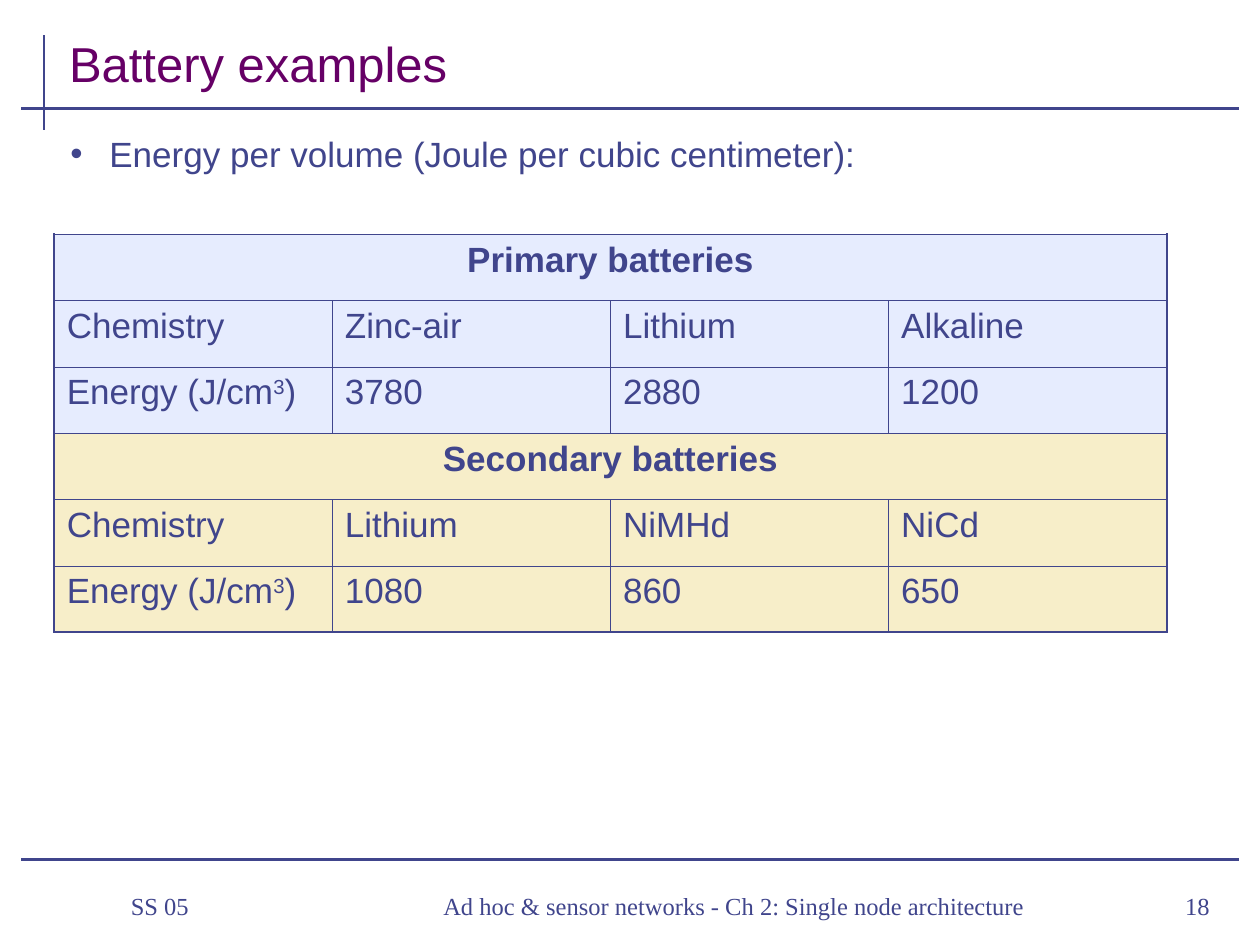
from lxml.etree import SubElement
from pptx import Presentation
from pptx.dml.color import RGBColor
from pptx.enum.shapes import MSO_CONNECTOR
from pptx.enum.text import MSO_ANCHOR as Anchor, PP_ALIGN as Align
from pptx.oxml.ns import qn
from pptx.util import Inches, Pt

INK = RGBColor(0x40, 0x45, 0x8C)
PURPLE = RGBColor(0x66, 0x00, 0x66)
PALE_BLUE = RGBColor(0xE6, 0xEC, 0xFE)
PALE_YELLOW = RGBColor(0xF7, 0xEE, 0xC9)

BODY = {"name": "Arial", "size": Pt(20)}
TITLE = {"name": "Arial", "size": Pt(28)}
FOOTER = {"name": "Times New Roman", "size": Pt(14)}

RULES = [(0.35, 0.28, 0.35, 1.03), (0.17, 0.86, 9.83, 0.86), (0.17, 6.82, 9.83, 6.82)]
ENERGY = "Energy (J/cm^3^)"  # carets enclose superscript
BATTERIES = [
    ("Primary batteries", PALE_BLUE, [
        ("Chemistry", "Zinc-air", "Lithium", "Alkaline"),
        (ENERGY, "3780", "2880", "1200")]),
    ("Secondary batteries", PALE_YELLOW, [
        ("Chemistry", "Lithium", "NiMHd", "NiCd"),
        (ENERGY, "1080", "860", "650")]),
]
FOOTER_PARTS = [
    ((0.7, 6.93, 1.74, 0.52), "SS 05", Align.LEFT),
    ((2.6, 6.93, 6.21, 0.52),
     "Ad hoc & sensor networks - Ch 2: Single node architecture", Align.CENTER),
    ((8.97, 6.93, 0.73, 0.52), "18", Align.RIGHT),
]


def write(paragraph, text, style, color=INK, align=Align.LEFT):
    """Fill a paragraph; text between carets is raised."""
    paragraph.alignment = align
    for index, part in enumerate(text.split("^")):
        run = paragraph.add_run()
        run.text = part
        for name, value in style.items():
            setattr(run.font, name, value)
        run.font.color.rgb = color
        if index % 2:
            run.font._element.set("baseline", "30000")


def add_text(slide, box, text, style, color=INK, align=Align.LEFT, anchor=Anchor.TOP):
    frame = slide.shapes.add_textbox(*map(Inches, box)).text_frame
    frame.word_wrap = True
    frame.vertical_anchor = anchor
    paragraph = frame.paragraphs[0]
    write(paragraph, text, style, color, align)
    return paragraph


def set_indent(paragraph, margin, first_line=0):
    properties = paragraph._p.get_or_add_pPr()
    properties.set("marL", str(Inches(margin)))
    properties.set("indent", str(Inches(first_line)))
    return properties


def add_rules(slide, rules):
    for ends in rules:
        line = slide.shapes.add_connector(MSO_CONNECTOR.STRAIGHT, *map(Inches, ends))
        line.line.color.rgb = INK
        line.line.width = Pt(1.5)
        SubElement(line._element.spPr, qn("a:effectLst"))


def add_bullet(slide, box, text):
    paragraph = add_text(slide, box, text, BODY)
    properties = set_indent(paragraph, 0.31, -0.31)
    SubElement(properties, qn("a:buFont"), typeface="Arial")
    SubElement(properties, qn("a:buChar"), char="•")


def set_borders(cell, outer_sides):
    """Thin borders, thicker on the sides that lie on the table's edge."""
    properties = cell._tc.get_or_add_tcPr()
    for side in "LRTB":
        width = Pt(1.08 if side in outer_sides else 0.45)
        line = SubElement(properties, qn(f"a:ln{side}"), w=str(width))
        fill = SubElement(line, qn("a:solidFill"))
        SubElement(fill, qn("a:srgbClr"), val=str(INK))


def add_battery_table(slide, box, groups):
    rows = []
    for heading, fill, lines in groups:
        rows.append((fill, (heading, "", "", "")))
        rows += [(fill, line) for line in lines]
    row_count, column_count = len(rows), len(rows[0][1])
    table = slide.shapes.add_table(row_count, column_count, *map(Inches, box)).table
    table.first_row = table.horz_banding = False

    for row, (fill, texts) in enumerate(rows):
        is_heading = not texts[1]
        for column, text in enumerate(texts):
            cell = table.cell(row, column)
            edges = {"L": column == 0 or is_heading, "T": row == 0,
                     "R": column == column_count - 1 or is_heading,
                     "B": row == row_count - 1}
            set_borders(cell, [side for side, outer in edges.items() if outer])
            cell.fill.solid()
            cell.fill.fore_color.rgb = fill
            if text:
                write(cell.text_frame.paragraphs[0], text, BODY | {"bold": is_heading},
                      align=Align.CENTER if is_heading else Align.LEFT)
        if is_heading:
            table.cell(row, 0).merge(table.cell(row, column_count - 1))


def add_footer(slide, parts):
    for box, text, align in parts:
        paragraph = add_text(slide, box, text, FOOTER, align=align, anchor=Anchor.MIDDLE)
        set_indent(paragraph, 0.24)


def main():
    presentation = Presentation()
    presentation.slide_width = Inches(10)
    presentation.slide_height = Inches(7.5)
    slide = presentation.slides.add_slide(presentation.slide_layouts[6])
    add_rules(slide, RULES)
    add_text(slide, (0.45, 0.16, 9.33, 0.62), "Battery examples", TITLE, PURPLE,
             anchor=Anchor.BOTTOM)
    add_bullet(slide, (0.46, 1, 9.15, 5.72),
               "Energy per volume (Joule per cubic centimeter):")
    add_battery_table(slide, (0.43, 1.86, 8.83, 3.16), BATTERIES)
    add_footer(slide, FOOTER_PARTS)
    presentation.save("out.pptx")


if __name__ == "__main__":
    main()
